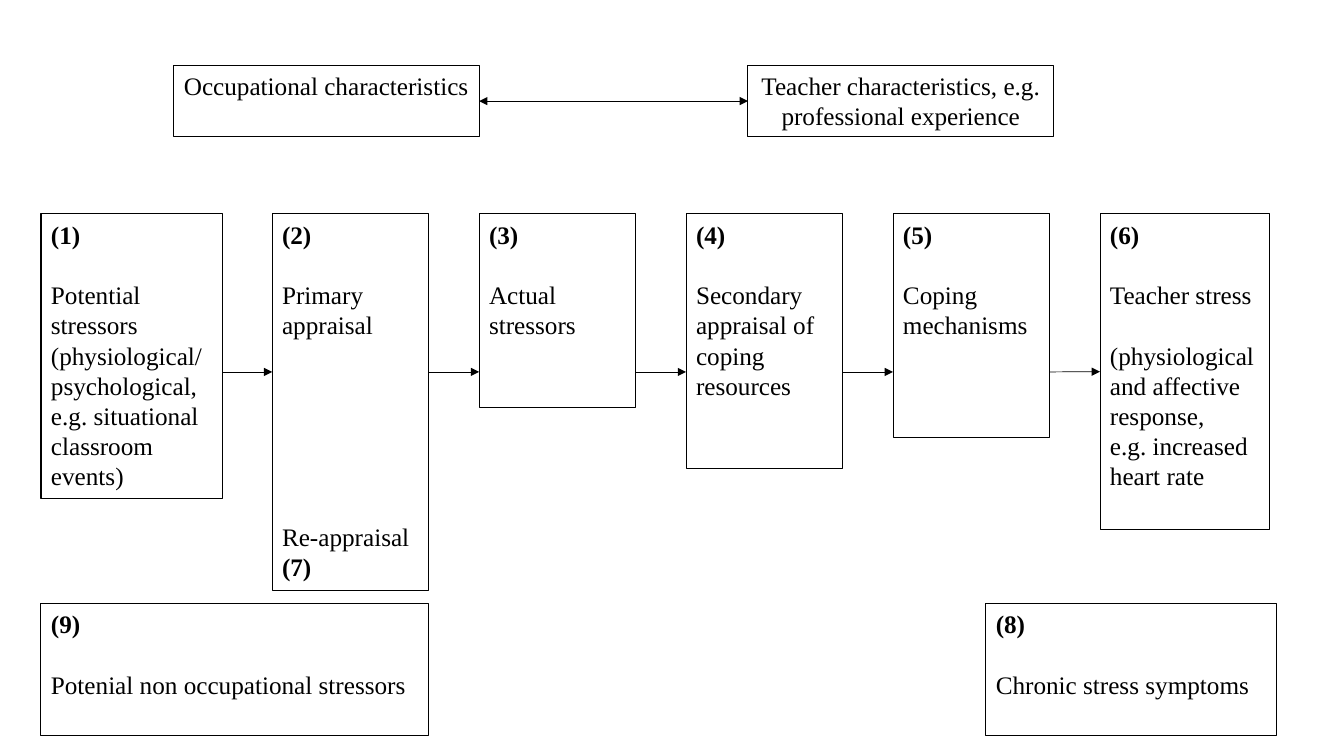
from dataclasses import dataclass

from lxml.etree import SubElement
from pptx import Presentation
from pptx.dml.color import RGBColor
from pptx.enum.shapes import MSO_CONNECTOR as Connector, MSO_SHAPE as Preset
from pptx.enum.text import MSO_ANCHOR as Anchor, PP_ALIGN as Align
from pptx.oxml.ns import qn
from pptx.shapes.autoshape import Shape
from pptx.shapes.connector import Connector as Arrow
from pptx.util import Inches, Pt

COLOURS = {"ink": "000000"}
FONT = "Times New Roman"
TEXT_SIZE, LINE_PITCH = 18, 21.6

# Grid: places in percent of the slide, box heights in text lines
SLIDE_W, SLIDE_H = Inches(13.33), Inches(7.5)
TOP_ROW, STAGE_ROW, BOTTOM_ROW = 8.67, 28.3, 79.87
ARROW_ROW = 49.2
LEFT_MARGIN, STAGE_LEFT, STAGE_PITCH, STAGE_WIDTH = 3.05, 20.25, 15.4, 11.65
LINE_SHARE, PADDING_SHARE = 4.04, 1.33
RIGHT_SIDE, LEFT_SIDE = 3, 1


@dataclass(frozen=True)
class Line:
    text: str
    bold: bool = False
    blank_before: int = 0


@dataclass(frozen=True)
class Box:
    left: float
    top: float
    width: float
    rows: int
    lines: tuple[Line, ...]
    align: Align = Align.LEFT


def across(share: float) -> int:
    return round(SLIDE_W * share / 100)


def down(share: float) -> int:
    return round(SLIDE_H * share / 100)


def ink() -> RGBColor:
    return RGBColor.from_string(COLOURS["ink"])


def numbered(number: int, first: str, *others: Line) -> tuple[Line, ...]:
    return (Line(f"({number})", bold=True), Line(first, blank_before=1), *others)


def stage(index: int, rows: int, lines: tuple[Line, ...],
          width: float = STAGE_WIDTH) -> Box:
    return Box(STAGE_LEFT + index * STAGE_PITCH, STAGE_ROW, width, rows, lines)


def draw_box(shapes, box: Box) -> Shape:
    height = box.rows * LINE_SHARE + PADDING_SHARE
    drawn = shapes.add_shape(Preset.RECTANGLE, across(box.left), down(box.top),
                             across(box.width), down(height))
    drawn.shadow.inherit = False
    drawn.fill.background()
    drawn.line.color.rgb = ink()
    drawn.line.width = Pt(0.75)
    frame = drawn.text_frame
    frame.word_wrap = True
    frame.vertical_anchor = Anchor.TOP
    for position, line in enumerate(box.lines):
        paragraph = frame.add_paragraph() if position else frame.paragraphs[0]
        paragraph.text = line.text
        paragraph.alignment = box.align
        paragraph.line_spacing = Pt(LINE_PITCH)
        paragraph.space_before = Pt(line.blank_before * LINE_PITCH)
        paragraph.font.name = FONT
        paragraph.font.size = Pt(TEXT_SIZE)
        paragraph.font.bold = line.bold
        paragraph.font.color.rgb = ink()
    return drawn


def draw_arrow(shapes, source: Shape, target: Shape, row: float,
               both_ways: bool = False) -> Arrow:
    height = down(row)
    arrow = shapes.add_connector(Connector.STRAIGHT, source.left + source.width,
                                 height, target.left, height)
    arrow.line.color.rgb = ink()
    arrow.line.width = Pt(0.5)
    outline = arrow.line._get_or_add_ln()
    for end in ("a:headEnd", "a:tailEnd") if both_ways else ("a:tailEnd",):
        SubElement(outline, qn(end), type="triangle")
    SubElement(arrow._element.spPr, qn("a:effectLst"))
    return arrow


OCCUPATION = Box(12.9, TOP_ROW, 22.75, 2,
                 (Line("Occupational characteristics"),), Align.CENTER)
TEACHER = Box(55.65, TOP_ROW, 22.75, 2,
              (Line("Teacher characteristics, e.g. professional experience"),),
              Align.CENTER)

STAGES = (
    Box(LEFT_MARGIN, STAGE_ROW, 13.5, 9, numbered(
        1, "Potential stressors",
        Line("(physiological/psychological, e.g. situational classroom events)"))),
    stage(0, 12, numbered(2, "Primary appraisal",
                          Line("Re-appraisal", blank_before=6),
                          Line("(7)", bold=True))),
    stage(1, 6, numbered(3, "Actual stressors")),
    stage(2, 8, numbered(4, "Secondary appraisal of coping resources")),
    stage(3, 7, numbered(5, "Coping", Line("mechanisms"))),
    stage(4, 10, numbered(
        6, "Teacher stress",
        Line("(physiological and affective response,", blank_before=1),
        Line("e.g. increased heart rate")), width=12.6),
)

OUTER_FACTORS = (
    Box(73.35, BOTTOM_ROW, 21.6, 4, numbered(8, "Chronic stress symptoms")),
    Box(LEFT_MARGIN, BOTTOM_ROW, 28.85, 4,
        numbered(9, "Potenial non occupational stressors")),
)


def main() -> None:
    deck = Presentation()
    deck.slide_width, deck.slide_height = SLIDE_W, SLIDE_H
    shapes = deck.slides.add_slide(deck.slide_layouts[6]).shapes

    # Characteristics that act on each other
    occupation, teacher = draw_box(shapes, OCCUPATION), draw_box(shapes, TEACHER)
    exchange = draw_arrow(shapes, occupation, teacher, 13.4, both_ways=True)
    exchange.begin_connect(occupation, RIGHT_SIDE)
    exchange.end_connect(teacher, LEFT_SIDE)

    # Chain from potential stressors to teacher stress
    stages = [draw_box(shapes, box) for box in STAGES]
    steps = [draw_arrow(shapes, source, target, ARROW_ROW)
             for source, target in zip(stages, stages[1:])]
    # Only the last box has its side's middle on the arrow row
    steps[-1].end_connect(stages[-1], LEFT_SIDE)

    # Symptoms and stressors outside the chain
    for box in OUTER_FACTORS:
        draw_box(shapes, box)

    deck.save("out.pptx")


if __name__ == "__main__":
    main()
